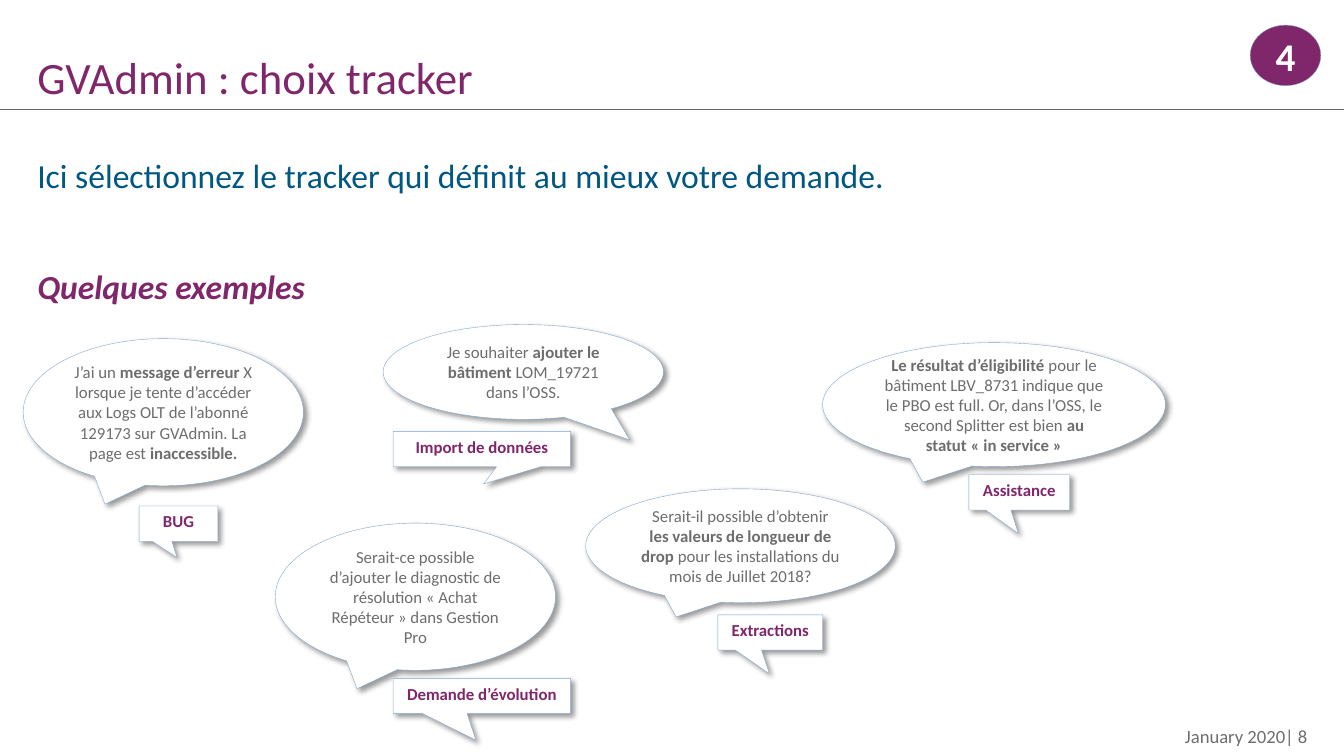
from dataclasses import dataclass

from lxml.etree import SubElement
from pptx import Presentation
from pptx.dml.color import RGBColor
from pptx.enum.shapes import MSO_CONNECTOR, MSO_SHAPE
from pptx.enum.text import MSO_ANCHOR, MSO_AUTO_SIZE, PP_ALIGN
from pptx.oxml.ns import qn
from pptx.util import Inches, Pt


@dataclass(frozen=True)
class Theme:
    font: str = "Calibri"
    plum: str = "80276C"
    blue: str = "005782"
    grey: str = "6D6D6D"
    rule: str = "63666A"
    outline: str = "80A3CA"
    white: str = "FFFFFF"
    shadow: str = "000000"
    title_size: float = 32
    badge_size: float = 28
    body_size: float = 24
    footer_size: float = 13.3
    callout_size: float = 12


@dataclass(frozen=True)
class Example:
    request: str  # parts between asterisks are bold
    request_at: tuple
    tracker: str
    tracker_at: tuple  # left, top, width
    tracker_tip: tuple
    request_tip: tuple = (-0.208, 0.625)


THEME = Theme()
MARGIN, CONTENT_WIDTH = 0.37, 12.6
TRACKER_HEIGHT = 0.35
CALLOUT_INSETS = (0.1, 0.05)

EXAMPLES = [
    Example("J’ai un *message d’erreur *X lorsque je tente d’accéder aux Logs OLT "
            "de l’abonné 129173 sur GVAdmin. La page est *inaccessible.",
            (0.23, 3.36, 2.78, 1.46), "BUG", (1.38, 5.02, 0.78), (-0.019, 0.958)),
    Example("Serait-ce possible d’ajouter le diagnostic de résolution "
            "« Achat Répéteur » dans Gestion Pro",
            (2.73, 5.19, 2.78, 1.46), "Demande d’évolution", (3.9, 6.73, 1.76), (-0.033, 1.256)),
    Example("Je souhaiter *ajouter le bâtiment *LOM_19721 dans l’OSS.",
            (3.8, 3.22, 2.78, 0.94), "Import de données", (3.9, 4.28, 1.76), (0.009, 0.988),
            request_tip=(0.38, 0.718)),
    Example("Serait-il possible d’obtenir *les valeurs de longueur de drop *"
            "pour les installations du mois de Juillet 2018?",
            (5.81, 4.85, 3.07, 1.13), "Extractions", (7.12, 6.1, 1.04), (-0.009, 1.167)),
    Example("*Le résultat d’éligibilité *pour le bâtiment LBV_8731 indique que le PBO "
            "est full. Or, dans l’OSS, le second Splitter est bien *au statut « in service »",
            (8.16, 3.4, 3.4, 1.23), "Assistance", (9.61, 4.71, 1), (-0.009, 1.167)),
]


def color(code):
    return RGBColor.from_string(code)


def place(item, at):
    for side, length in zip(("left", "top", "width", "height"), at):
        setattr(item, side, Inches(length))


def set_frame(frame, anchor, insets=(0, 0)):
    across, down = map(Inches, insets)
    settings = {"word_wrap": True, "auto_size": MSO_AUTO_SIZE.NONE, "vertical_anchor": anchor,
                "margin_left": across, "margin_right": across,
                "margin_top": down, "margin_bottom": down}
    for key, value in settings.items():
        setattr(frame, key, value)


def write(paragraph, text, size, code, align=PP_ALIGN.LEFT, **style):
    """Write text, with the parts between asterisks in bold."""
    paragraph.alignment = align
    for index, part in enumerate(text.split("*")):
        if not part:
            continue
        run = paragraph.add_run()
        run.text = part
        values = {"name": THEME.font, "size": Pt(size), "bold": index % 2 == 1,
                  "italic": False} | style
        for key, value in values.items():
            setattr(run.font, key, value)
        run.font.color.rgb = color(code)


def add_text(slide, at, anchor):
    box = slide.shapes.add_textbox(*map(Inches, at))
    set_frame(box.text_frame, anchor)
    return box.text_frame


def add_outlined(slide, kind, at, fill):
    shape = slide.shapes.add_shape(kind, *map(Inches, at))
    shape.shadow.inherit = False
    shape.fill.solid()
    shape.fill.fore_color.rgb = color(fill)
    shape.line.color.rgb = color(THEME.outline)
    shape.line.width = Pt(0.25)
    return shape


def add_callout(slide, kind, at, tip, anchor, text, code, **style):
    callout = add_outlined(slide, kind, at, THEME.white)
    for index, offset in enumerate(tip):
        callout.adjustments[index] = offset
    # Soft drop shadow towards the lower right
    effects = callout._element.spPr.find(qn("a:effectLst"))
    shadow = SubElement(effects, qn("a:outerShdw"), blurRad=str(Pt(4)), dist=str(Pt(3)),
                        dir="2700000", algn="tl", rotWithShape="0")
    tint = SubElement(shadow, qn("a:srgbClr"), val=THEME.shadow)
    SubElement(tint, qn("a:alpha"), val="40000")
    set_frame(callout.text_frame, anchor, CALLOUT_INSETS)
    write(callout.text_frame.paragraphs[0], text, THEME.callout_size, code,
          PP_ALIGN.CENTER, **style)


def add_footer(slide):
    footer = add_text(slide, (9, 7.19, 3.97, 0.22), MSO_ANCHOR.MIDDLE)
    write(footer.paragraphs[0], "January 2020| 8", THEME.footer_size, THEME.grey, PP_ALIGN.RIGHT)


def add_header(slide):
    rule = slide.shapes.add_connector(MSO_CONNECTOR.STRAIGHT, Inches(0), Inches(1.09),
                                      Inches(13.33), Inches(1.09))
    rule.line.color.rgb = color(THEME.rule)
    rule.line.width = Pt(0.75)
    SubElement(rule._element.spPr, qn("a:effectLst"))

    title = slide.shapes.title
    place(title, (MARGIN, 0.04, CONTENT_WIDTH, 0.99))
    set_frame(title.text_frame, MSO_ANCHOR.BOTTOM)
    write(title.text_frame.paragraphs[0], "GVAdmin : choix tracker",
          THEME.title_size, THEME.plum)

    step = add_outlined(slide, MSO_SHAPE.OVAL, (12.4, 0.25, 0.7, 0.6), THEME.plum)
    set_frame(step.text_frame, MSO_ANCHOR.MIDDLE)
    write(step.text_frame.paragraphs[0], "4", THEME.badge_size, THEME.white,
          PP_ALIGN.CENTER, bold=True)


def add_introduction(slide):
    introduction = add_text(slide, (MARGIN, 1.54, CONTENT_WIDTH, 1.6), MSO_ANCHOR.TOP)
    write(introduction.paragraphs[0],
          "Ici sélectionnez le tracker qui définit au mieux votre demande.",
          THEME.body_size, THEME.blue)
    heading = introduction.add_paragraph()
    heading.space_before = Pt(50)
    write(heading, "Quelques exemples", THEME.body_size, THEME.plum, bold=True, italic=True)


def add_example(slide, example):
    add_callout(slide, MSO_SHAPE.OVAL_CALLOUT, example.request_at, example.request_tip,
                MSO_ANCHOR.MIDDLE, example.request, THEME.grey)
    add_callout(slide, MSO_SHAPE.RECTANGULAR_CALLOUT, (*example.tracker_at, TRACKER_HEIGHT),
                example.tracker_tip, MSO_ANCHOR.TOP, example.tracker, THEME.plum, bold=True)


def main():
    deck = Presentation()
    deck.slide_width, deck.slide_height = Inches(13.33), Inches(7.5)
    slide = deck.slides.add_slide(deck.slide_layouts[5])
    # Frame of the slide
    add_footer(slide)
    add_header(slide)
    # Content
    add_introduction(slide)
    for example in EXAMPLES:
        add_example(slide, example)
    deck.save("out.pptx")


if __name__ == "__main__":
    main()
